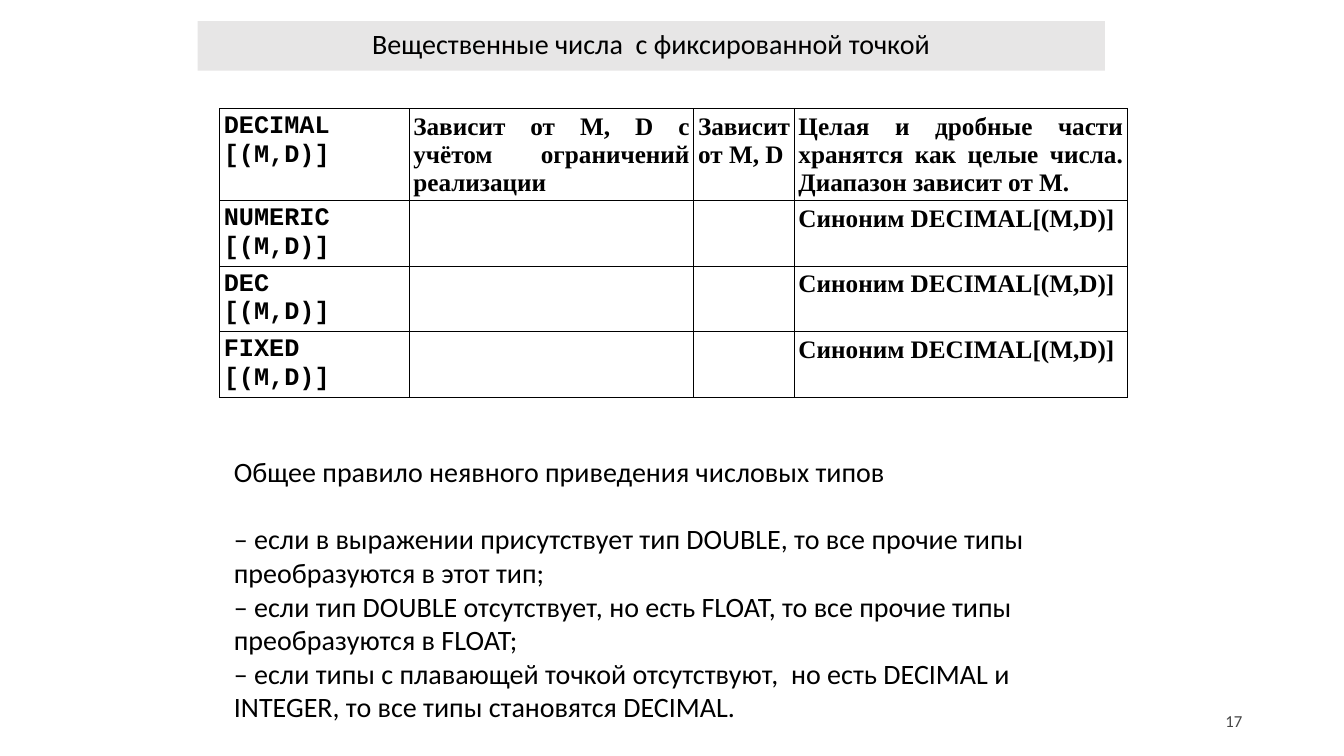
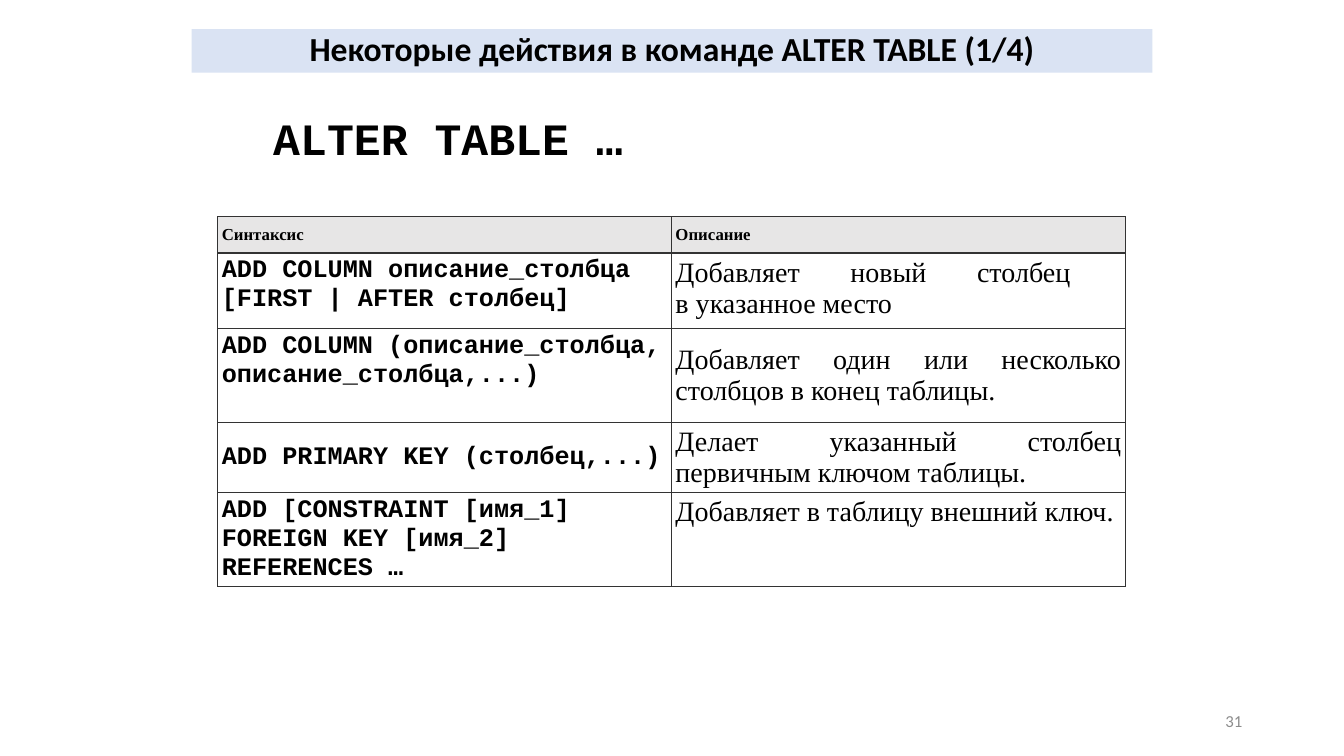
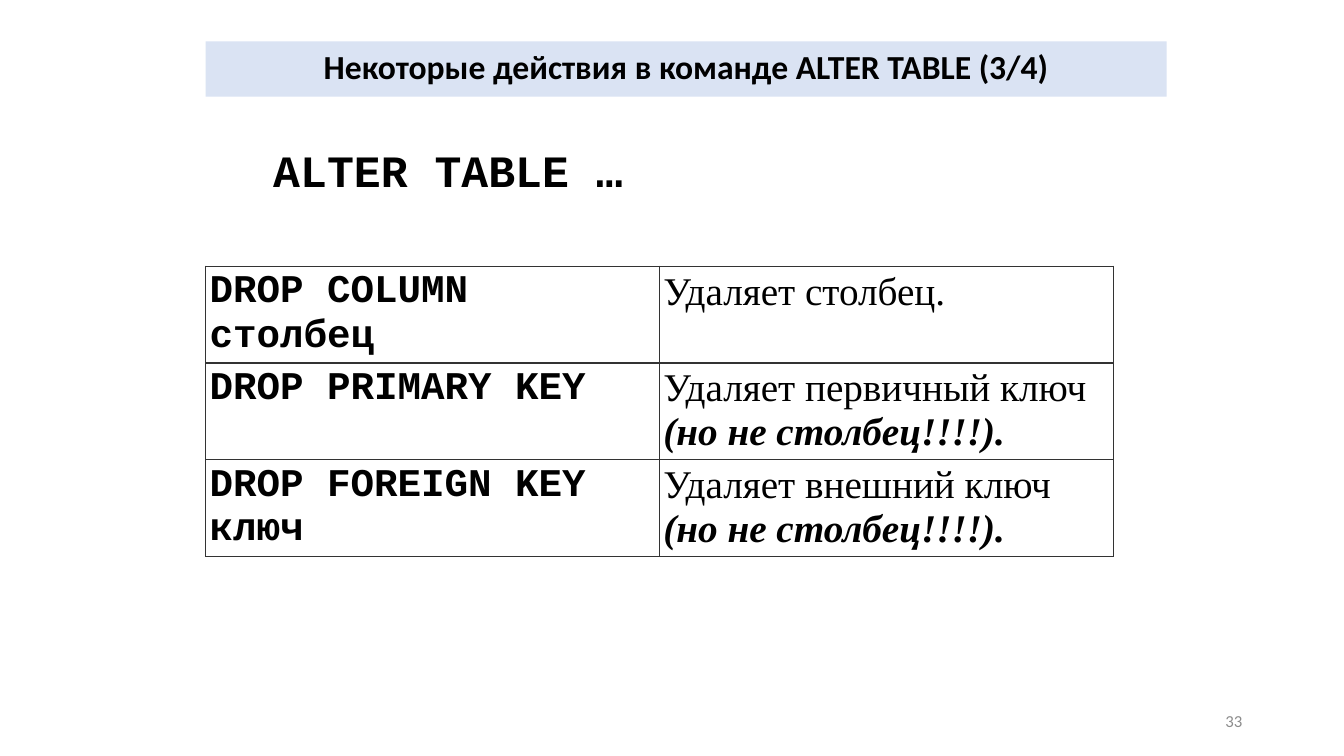
import lxml.etree
import pptx
import pptx.dml.color
import pptx.enum.text
import pptx.oxml.ns
import pptx.util

Inches = pptx.util.Inches
Pt = pptx.util.Pt
Align = pptx.enum.text.PP_ALIGN
Anchor = pptx.enum.text.MSO_ANCHOR


class Theme:
    ink, dark, dim = "000000", "454545", "8C8C8C"
    grey, blue = "E7E6E6", "DAE3F3"
    sans, mono, serif = "Calibri", "Courier New", "Times New Roman"
    tiny, code, text, head, large, huge = 12, 18, 20, 24, 28, 32
    inset = 0.04


LEFT, RIGHT, MID, JUST = Align.LEFT, Align.RIGHT, Align.CENTER, Align.JUSTIFY
PLAIN = {"name": Theme.sans, "size": Pt(Theme.text), "bold": False}
BOLD = {"name": Theme.sans, "size": Pt(Theme.head), "bold": True}
SMALL = {"name": Theme.sans, "size": Pt(Theme.tiny), "bold": False}
MONO = {"name": Theme.mono, "size": Pt(Theme.code), "bold": True}
HEAD = {"name": Theme.serif, "size": Pt(Theme.tiny), "bold": True}
NOTE = {"name": Theme.serif, "size": Pt(Theme.code), "bold": True}
PROSE = {"name": Theme.serif, "size": Pt(Theme.text), "bold": False}
BIG = {"size": Pt(Theme.large)}
COMMAND = {**MONO, "size": Pt(Theme.huge)}


def write(frame, text, look, align=LEFT, color=Theme.ink):
    """Each line is a paragraph; \\v breaks a line; *stars* mark bold italics."""
    frame.word_wrap = True
    for row, line in enumerate(text.split("\n")):
        para = frame.add_paragraph() if row else frame.paragraphs[0]
        para.alignment = align
        para.space_before = para.space_after = Pt(0)
        for part, words in enumerate(line.split("*")):
            for piece, bit in enumerate(words.split("\v")):
                if piece:
                    para.add_line_break()
                if not bit:
                    continue
                run = para.add_run()
                run.text = bit
                accent = {"bold": True, "italic": True} if part % 2 else {}
                for key, value in {**look, **accent}.items():
                    setattr(run.font, key, value)
                run.font.color.rgb = pptx.dml.color.RGBColor.from_string(color)


def edge(cell, color):
    """Draw a one-point line on all four sides of a cell."""
    props = cell._tc.get_or_add_tcPr()
    for side in ("lnL", "lnR", "lnT", "lnB"):
        line = lxml.etree.SubElement(props, pptx.oxml.ns.qn("a:" + side), w=str(Pt(1)))
        fill = lxml.etree.SubElement(line, pptx.oxml.ns.qn("a:solidFill"))
        lxml.etree.SubElement(fill, pptx.oxml.ns.qn("a:srgbClr"), val=color)


SYNONYM = "Синоним DECIMAL[(M,D)]"
RULES = """Общее правило неявного приведения числовых типов
– если в выражении присутствует тип DOUBLE, то все прочие типы преобразуются в этот тип;
– если тип DOUBLE отсутствует, но есть FLOAT, то все прочие типы преобразуются в FLOAT;
– если типы с плавающей точкой отсутствуют,  но есть DECIMAL и INTEGER, то все типы становятся DECIMAL."""

PAGES = [
    {
        "title": "Вещественные числа  с фиксированной точкой",
        "band": (1.96, 0.21, 9, 0.49), "fill": Theme.grey, "look": PLAIN,
        "body": RULES, "place": (2.22, 4.46, 9.01, 2.79), "style": PLAIN,
        "gap": Theme.head, "number": "17", "tint": Theme.dark,
        "at": (2.18, 1.08), "cols": (1.88, 2.82, 1, 3.3),
        "rows": (0.91, 0.65, 0.65, 0.65), "line": Theme.ink,
        "looks": [(MONO, LEFT), (NOTE, JUST), (NOTE, MID), (NOTE, JUST)],
        "middle": [], "header": False,
        "cells": [
            ("DECIMAL\n[(M,D)]", "Зависит от M, D с учётом ограничений реализации",
             "Зависит от М, D ",
             "Целая и дробные части хранятся как целые числа. Диапазон зависит от М."),
            *((kind + "\n[(M,D)]", "", "", SYNONYM) for kind in ("NUMERIC", "DEC", "FIXED")),
        ],
    },
    {
        "title": "Некоторые действия в команде ALTER TABLE (1/4)",
        "band": (1.9, 0.29, 9.53, 0.43), "fill": Theme.blue, "look": BOLD,
        "body": "ALTER TABLE …", "place": (2.61, 1.05, 4.2, 0.64), "style": COMMAND,
        "gap": 0, "number": "31", "tint": Theme.dim,
        "at": (2.16, 2.15), "cols": (4.5, 4.5),
        "rows": (0.36, 0.75, 0.93, 0.7, 0.93), "line": "333333",
        "looks": [(MONO, LEFT), (PROSE, JUST)],
        "middle": [(0, 0), (0, 1), (2, 1), (3, 0), (3, 1)], "header": True,
        "cells": [
            ("Синтаксис", "Описание"),
            ("ADD COLUMN описание_столбца\n[FIRST | AFTER столбец]",
             "Добавляет новый столбец \vв указанное место"),
            ("ADD COLUMN (описание_столбца, описание_столбца,...)",
             "Добавляет один или несколько столбцов в конец таблицы."),
            ("ADD PRIMARY KEY (столбец,...)",
             "Делает указанный столбец первичным ключом таблицы."),
            ("ADD [CONSTRAINT [имя_1]\nFOREIGN KEY [имя_2]\nREFERENCES …",
             "Добавляет в таблицу внешний ключ."),
        ],
    },
    {
        "title": "Некоторые действия в команде ALTER TABLE (3/4)",
        "band": (2.04, 0.41, 9.53, 0.55), "fill": Theme.blue, "look": BOLD,
        "body": "ALTER TABLE …", "place": (2.61, 1.37, 4.2, 0.64), "style": COMMAND,
        "gap": 0, "number": "33", "tint": Theme.dim,
        "at": (2.04, 2.64), "cols": (4.5, 4.5),
        "rows": (0.96, 0.96, 0.96), "line": "333333",
        "looks": [({**MONO, **BIG}, LEFT), ({**PROSE, **BIG}, LEFT)],
        "middle": [], "header": False,
        "cells": [
            ("DROP COLUMN столбец", "Удаляет столбец."),
            ("DROP PRIMARY KEY", "Удаляет первичный ключ *(но не столбец!!!!).*"),
            ("DROP FOREIGN KEY ключ", "Удаляет внешний ключ *(но не столбец!!!!).*"),
        ],
    },
]

deck = pptx.Presentation()
deck.slide_width, deck.slide_height = Inches(13.33), Inches(7.5)

for page in PAGES:
    slide = deck.slides.add_slide(deck.slide_layouts[1])
    title, body = slide.placeholders
    for shape, box in ((title, page["band"]), (body, page["place"])):
        for key, value in zip(("left", "top", "width", "height"), box):
            setattr(shape, key, Inches(value))
        shape.text_frame.auto_size = pptx.enum.text.MSO_AUTO_SIZE.NONE

    # Title band
    title.fill.solid()
    title.fill.fore_color.rgb = pptx.dml.color.RGBColor.from_string(page["fill"])
    title.text_frame.vertical_anchor = Anchor.MIDDLE
    write(title.text_frame, page["title"], page["look"], MID)
    title.text_frame.paragraphs[0].line_spacing = 0.9

    # Body without bullets
    write(body.text_frame, page["body"], page["style"])
    body.text_frame.paragraphs[0].space_after = Pt(page["gap"])
    for para in body.text_frame.paragraphs:
        props = para._p.get_or_add_pPr()
        props.set("marL", "0")
        props.set("indent", "0")
        lxml.etree.SubElement(props, pptx.oxml.ns.qn("a:buNone"))

    # Table
    cols, rows = page["cols"], page["rows"]
    size = [Inches(value) for value in (*page["at"], sum(cols), sum(rows))]
    table = slide.shapes.add_table(len(rows), len(cols), *size).table
    table.first_row = table.horz_banding = False
    for col, width in zip(table.columns, cols):
        col.width = Inches(width)
    for row, height in zip(table.rows, rows):
        row.height = Inches(height)
    for y, texts in enumerate(page["cells"]):
        for x, text in enumerate(texts):
            cell = table.cell(y, x)
            for side in ("left", "right", "top", "bottom"):
                setattr(cell, "margin_" + side, Inches(Theme.inset))
            heading = page["header"] and y == 0
            look, align = (HEAD, JUST) if heading else page["looks"][x]
            cell.vertical_anchor = Anchor.MIDDLE if (y, x) in page["middle"] else Anchor.TOP
            edge(cell, page["line"])
            if heading:
                cell.fill.solid()
                cell.fill.fore_color.rgb = pptx.dml.color.RGBColor.from_string(Theme.grey)
            else:
                cell.fill.background()
            write(cell.text_frame, text, look, align)

    # Page number
    number = slide.shapes.add_textbox(Inches(9.42), Inches(6.95), Inches(3), Inches(0.4))
    number.text_frame.vertical_anchor = Anchor.MIDDLE
    write(number.text_frame, page["number"], SMALL, RIGHT, page["tint"])

deck.save("out.pptx")
